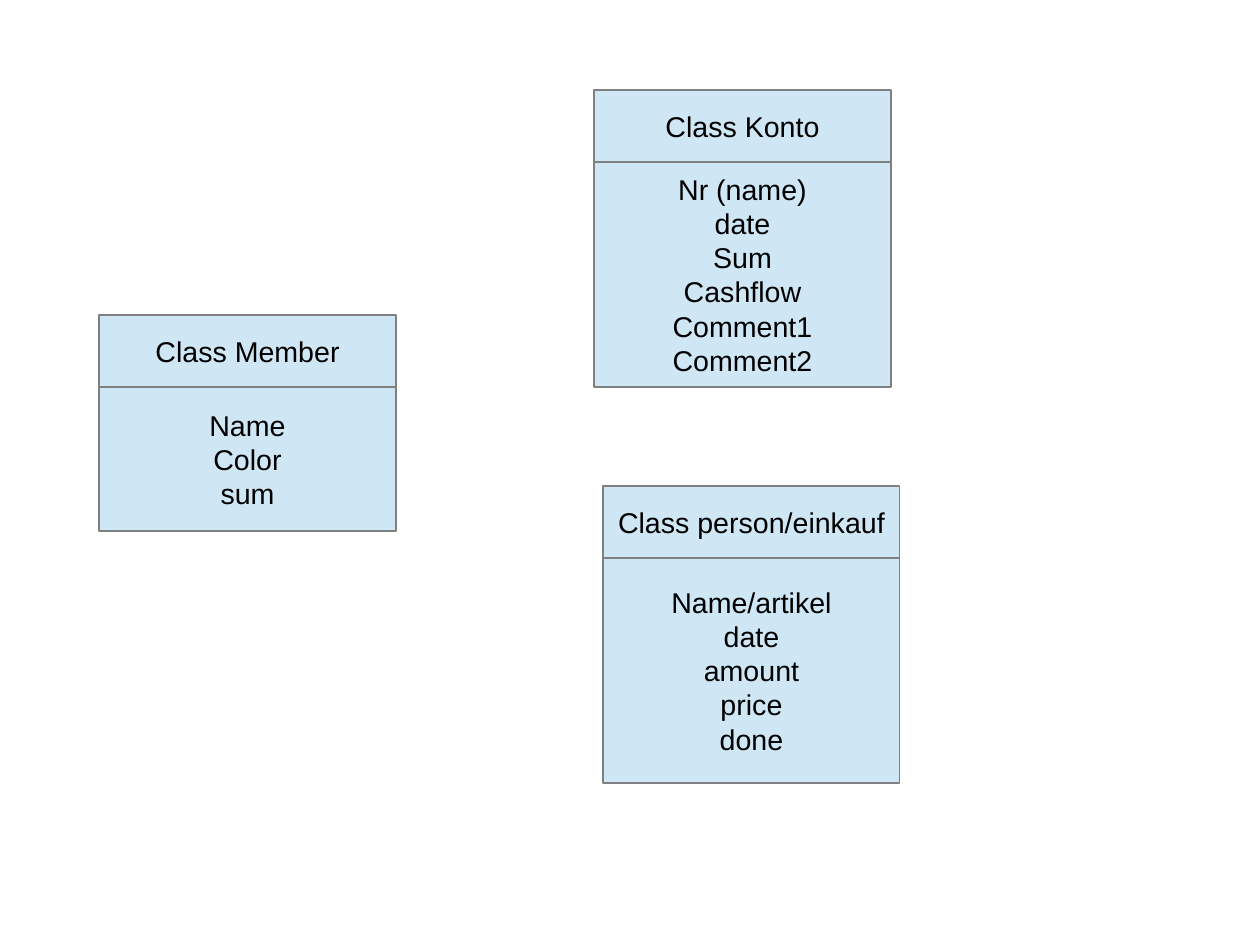
from pptx import Presentation
from pptx.dml.color import RGBColor
from pptx.enum.shapes import MSO_SHAPE
from pptx.enum.text import MSO_ANCHOR, PP_ALIGN
from pptx.util import Pt

COLORS = {"fill": "CFE7F5", "line": "808080", "text": "000000"}
BOX_W, HEAD_H = 187.1, 45.35

# left, top, body height, class name, attributes
CLASSES = [
    (62.4, 198.45, 90.7, "Class Member", ["Name", "Color", "sum"]),
    (374.2, 56.7, 141.75, "Class Konto",
     ["Nr (name)", "date", "Sum", "Cashflow", "Comment1", "Comment2"]),
    (379.85, 306.15, 141.75, "Class person/einkauf",
     ["Name/artikel", "date", "amount", "price", "done"]),
]


def color(name):
    return RGBColor.from_string(COLORS[name])


def add_compartment(s, left, top, width, height, lines):
    sp = s.shapes.add_shape(MSO_SHAPE.RECTANGLE, Pt(left), Pt(top), Pt(width), Pt(height))
    sp.shadow.inherit = False
    sp.fill.solid()
    sp.fill.fore_color.rgb = color("fill")
    sp.line.color.rgb = color("line")
    sp.line.width = Pt(0)
    tf = sp.text_frame
    tf.word_wrap = True
    tf.vertical_anchor = MSO_ANCHOR.MIDDLE
    tf.text = "\n".join(lines)
    for p in tf.paragraphs:
        p.alignment = PP_ALIGN.CENTER
        p.line_spacing = Pt(21.5)
        p.font.name = "Arial"
        p.font.size = Pt(18)
        p.font.color.rgb = color("text")


def add_class_box(s, left, top, body_h, name, attributes):
    add_compartment(s, left, top, BOX_W, HEAD_H, [name])
    add_compartment(s, left, top + HEAD_H, BOX_W, body_h, attributes)


def main():
    prs = Presentation()
    prs.slide_width, prs.slide_height = Pt(793.7), Pt(595.3)
    s = prs.slides.add_slide(prs.slide_layouts[6])
    for entry in CLASSES:
        add_class_box(s, *entry)
    prs.save("out.pptx")


if __name__ == "__main__":
    main()
